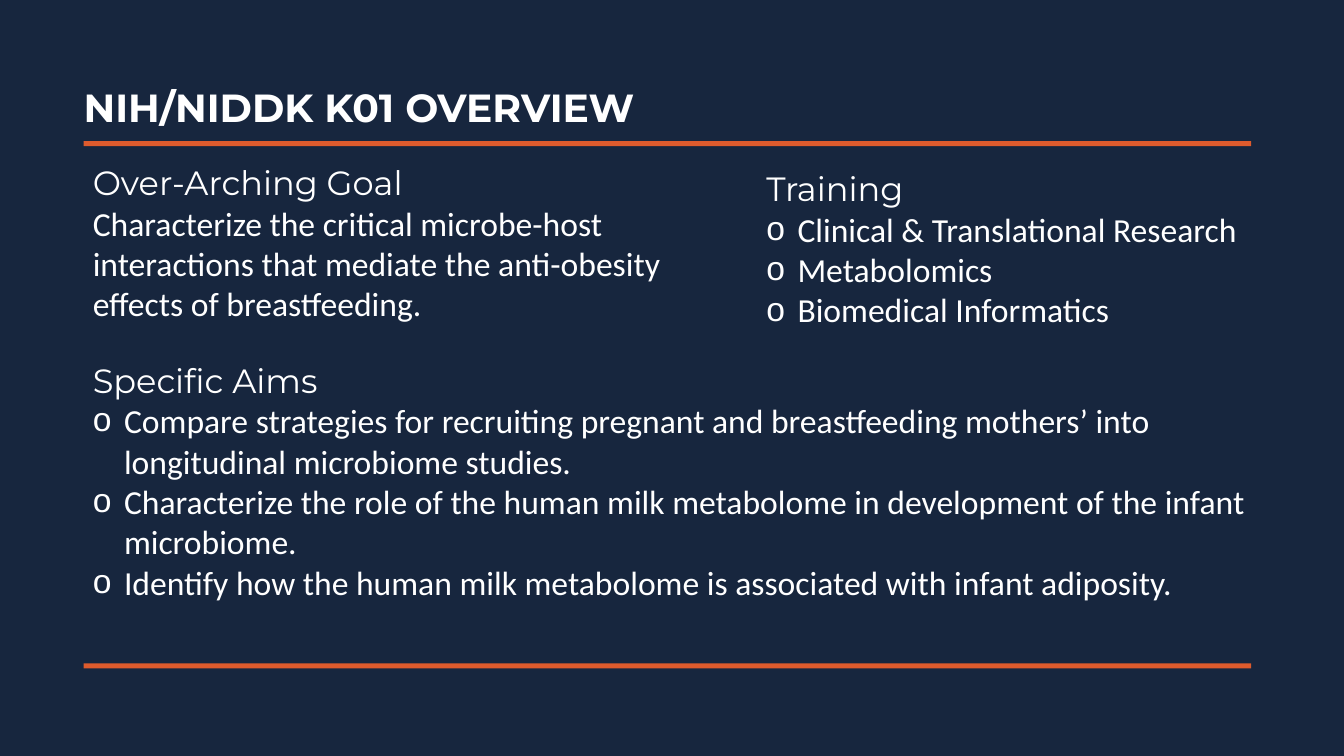
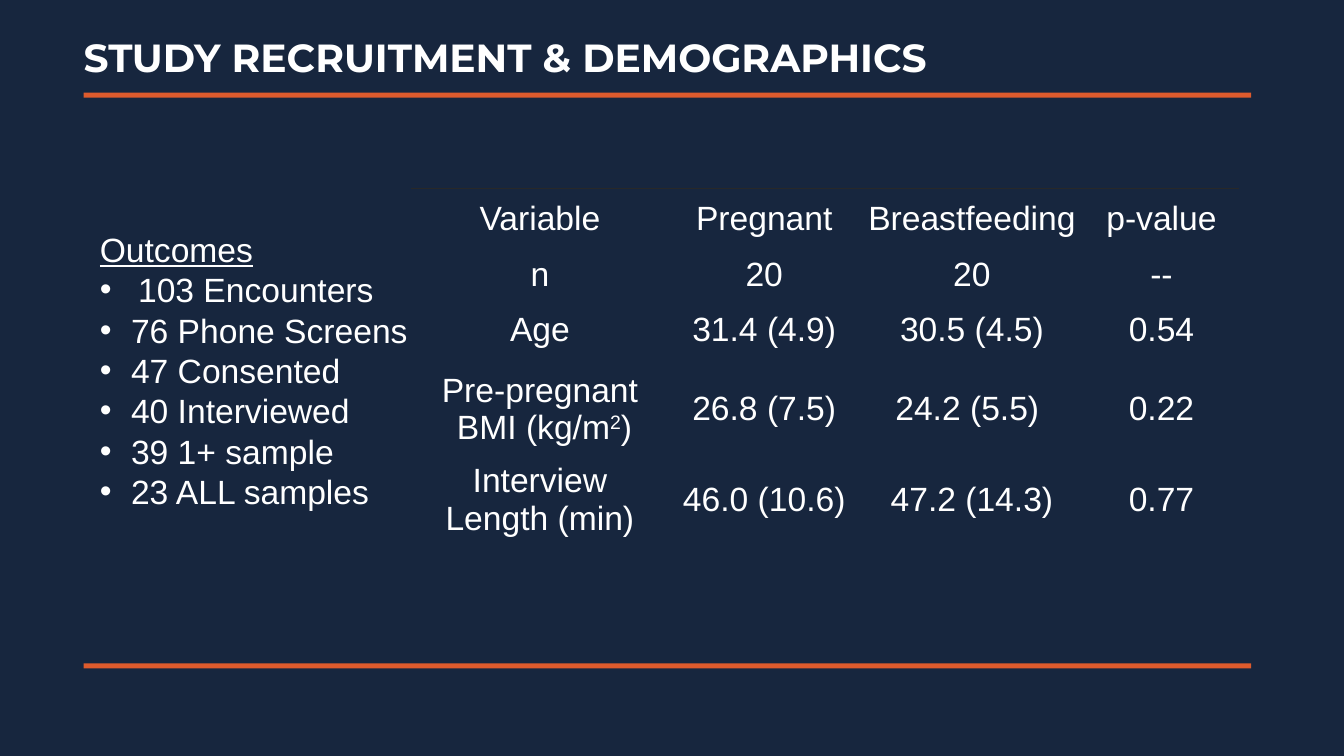
from lxml.etree import SubElement
from pptx import Presentation
from pptx.dml.color import RGBColor
from pptx.enum.shapes import MSO_SHAPE
from pptx.enum.text import MSO_ANCHOR as ANCHOR, MSO_AUTO_SIZE as AUTO, PP_ALIGN as ALIGN
from pptx.oxml.ns import qn
from pptx.util import Inches, Pt

NAVY = RGBColor(0x17, 0x26, 0x3E)
ORANGE = RGBColor(0xDE, 0x5B, 0x2D)
WHITE = RGBColor(0xFF, 0xFF, 0xFF)
CHARCOAL = RGBColor(0x28, 0x28, 0x28)

TITLE = {"name": "Montserrat", "size": Pt(28), "bold": True}
HEADING = {"name": "Montserrat", "size": Pt(24), "bold": False}
BODY = {"name": "Calibri", "size": Pt(24), "bold": False}
DATA = {"name": "Arial", "size": Pt(24), "bold": False}
LABEL = {**DATA, "underline": True}

LEFT = 0.83
RULE_WIDTH, RULE_HEIGHT = 11.58, 0.05
FOOTER_TOP = 6.58
INDENT = 0.31


def place(shape, box):
    for side, length in zip(("left", "top", "width", "height"), box):
        setattr(shape, side, Inches(length))


def write(paragraph, text, style):
    """Add text to the paragraph; parts between ^ marks are superscript."""
    for position, part in enumerate(text.split("^")):
        run = paragraph.add_run()
        run.text = part
        for key, value in style.items():
            setattr(run.font, key, value)
        run.font.color.rgb = WHITE
        if position % 2:
            run.font._element.set("baseline", "30000")


def set_bullet(paragraph, char=None, indent=0.0):
    properties = paragraph._p.get_or_add_pPr()
    properties.set("marL", str(Inches(indent)))
    properties.set("indent", str(-Inches(indent)))
    if char:
        SubElement(properties, qn("a:buChar")).set("char", char)
    else:
        SubElement(properties, qn("a:buNone"))


def set_borders(cell, top_line):
    """Clear every cell edge, drawing the top one if asked."""
    properties = cell._tc.get_or_add_tcPr()
    for position, edge in enumerate(("lnL", "lnR", "lnT", "lnB")):
        line = SubElement(properties, qn(f"a:{edge}"))
        properties.insert(position, line)
        if edge == "lnT" and top_line:
            line.set("w", str(Pt(1)))
            color = SubElement(SubElement(line, qn("a:solidFill")), qn("a:srgbClr"))
            color.set("val", str(CHARCOAL))
        else:
            SubElement(line, qn("a:noFill"))


class Deck:
    """Holds the presentation, its shared style and the current slide."""

    def __init__(self):
        self.prs = Presentation()
        self.prs.slide_width, self.prs.slide_height = Inches(13.33), Inches(7.5)
        background = self.prs.slide_master.background.fill
        background.solid()
        background.fore_color.rgb = NAVY

    def new_slide(self, layout_name, title, title_top, rule_top):
        layout = self.prs.slide_layouts.get_by_name(layout_name)
        self.slide = self.prs.slides.add_slide(layout)
        self.bodies = [holder for holder in self.slide.placeholders
                       if holder.placeholder_format.idx > 0]
        self.title(title, title_top)
        for top in (rule_top, FOOTER_TOP):
            self.rule(top)

    def title(self, text, top):
        holder = self.slide.shapes.title
        place(holder, (LEFT, top, 11.83, 0.47))
        frame = holder.text_frame
        for side in ("left", "top", "right", "bottom"):
            setattr(frame, f"margin_{side}", 0)
        frame.auto_size = AUTO.SHAPE_TO_FIT_TEXT
        frame.vertical_anchor = ANCHOR.TOP
        frame.paragraphs[0].alignment = ALIGN.LEFT
        write(frame.paragraphs[0], text, TITLE)

    def rule(self, top):
        bar = self.slide.shapes.add_shape(
            MSO_SHAPE.RECTANGLE, Inches(LEFT), Inches(top),
            Inches(RULE_WIDTH), Inches(RULE_HEIGHT))
        bar.shadow.inherit = False
        bar.fill.solid()
        bar.fill.fore_color.rgb = ORANGE
        bar.line.fill.background()

    def section(self, box, heading, items, bullet=None,
                heading_style=HEADING, item_style=BODY, first_indent=INDENT):
        """Fill the next body placeholder with a heading and its items."""
        holder = self.bodies.pop(0)
        place(holder, box)
        frame = holder.text_frame
        frame.word_wrap = True
        frame.auto_size = AUTO.SHAPE_TO_FIT_TEXT
        frame.vertical_anchor = ANCHOR.TOP
        for position, text in enumerate([heading, *items]):
            paragraph = frame.add_paragraph() if position else frame.paragraphs[0]
            paragraph.space_before = Pt(0)
            if position and bullet:
                set_bullet(paragraph, bullet, first_indent if position == 1 else INDENT)
            else:
                set_bullet(paragraph)
            write(paragraph, text, item_style if position else heading_style)

    def table(self, left, top, widths, heights, rows):
        table = self.slide.shapes.add_table(
            len(rows), len(widths), Inches(left), Inches(top),
            Inches(sum(widths)), Inches(sum(heights))).table
        table.first_row = table.horz_banding = False
        for column, width in zip(table.columns, widths):
            column.width = Inches(width)
        for row, height in zip(table.rows, heights):
            row.height = Inches(height)
        for row_number, row in enumerate(rows):
            for column_number, text in enumerate(row):
                self.cell(table.cell(row_number, column_number), text, row_number == 0)

    def cell(self, cell, text, top_line):
        cell.fill.background()
        set_borders(cell, top_line)
        cell.vertical_anchor = ANCHOR.MIDDLE
        cell.margin_left = cell.margin_right = Inches(0.07)
        cell.margin_top = cell.margin_bottom = 0
        for position, line in enumerate(text.split("\n")):
            frame = cell.text_frame
            paragraph = frame.add_paragraph() if position else frame.paragraphs[0]
            paragraph.alignment = ALIGN.CENTER
            write(paragraph, line, DATA)

    def drop_unused(self):
        for holder in self.bodies:
            holder._element.getparent().remove(holder._element)


def overview(deck):
    deck.new_slide("Comparison", "NIH/NIDDK K01 OVERVIEW", 0.83, 1.4)
    deck.section((0.82, 3.52, 11.94, 2.52), "Specific Aims", [
        "Compare strategies for recruiting pregnant and breastfeeding mothers’ into "
        "longitudinal microbiome studies.",
        "Characterize the role of the human milk metabolome in development of the "
        "infant microbiome.",
        "Identify how the human milk metabolome is associated with infant adiposity.",
    ], "o")
    deck.section((7.5, 1.62, 5, 1.72), "Training", [
        "Clinical & Translational Research", "Metabolomics", "Biomedical Informatics",
    ], "o")
    deck.section((0.82, 1.56, 6.77, 1.72), "Over-Arching Goal", [
        "Characterize the critical microbe-host interactions that mediate the "
        "anti-obesity effects of breastfeeding.",
    ])
    deck.drop_unused()


def recruitment(deck):
    deck.new_slide("Title and Content", "STUDY RECRUITMENT & DEMOGRAPHICS", 0.33, 0.92)
    deck.table(4.08, 1.87, (2.55, 1.9, 2.22, 1.54), (0.61, 0.5, 0.58, 1, 0.74), [
        ("Variable", "Pregnant", "Breastfeeding", "p-value"),
        ("n", "20", "20", "--"),
        ("Age", "31.4 (4.9)", "30.5 (4.5)", "0.54"),
        ("Pre-pregnant\n BMI (kg/m^2^)", "26.8 (7.5)", "24.2 (5.5) ", "0.22"),
        ("Interview Length (min)", "46.0 (10.6)", "47.2 (14.3)", "0.77"),
    ])
    deck.section((0.89, 2.22, 3.4, 2.93), "Outcomes", [
        "103 Encounters", "76 Phone Screens", "47 Consented",
        "40 Interviewed", "39 1+ sample", "23 ALL samples",
    ], "•", LABEL, DATA, first_indent=0.38)
    deck.drop_unused()


def main():
    deck = Deck()
    overview(deck)
    recruitment(deck)
    deck.prs.save("out.pptx")


if __name__ == "__main__":
    main()
